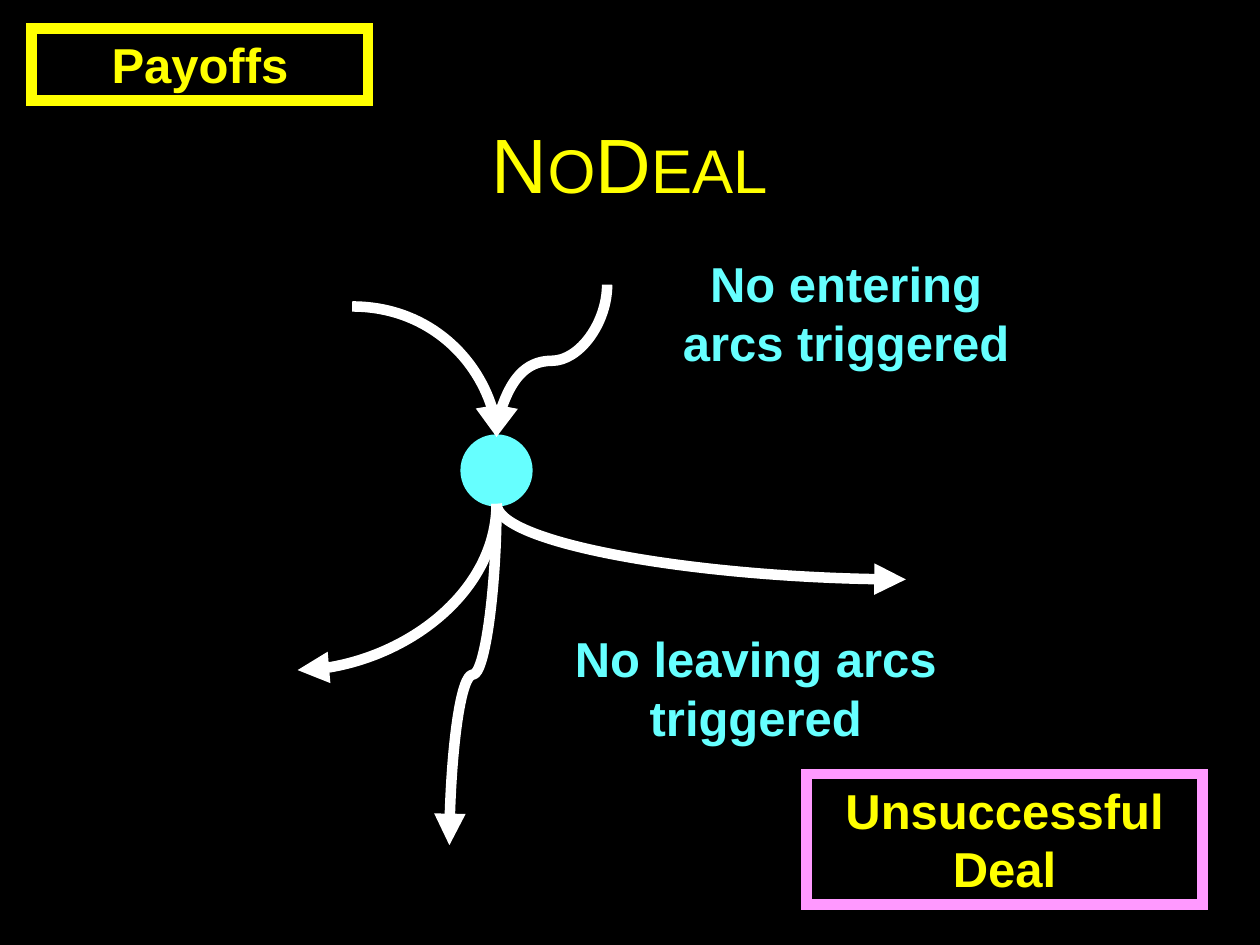
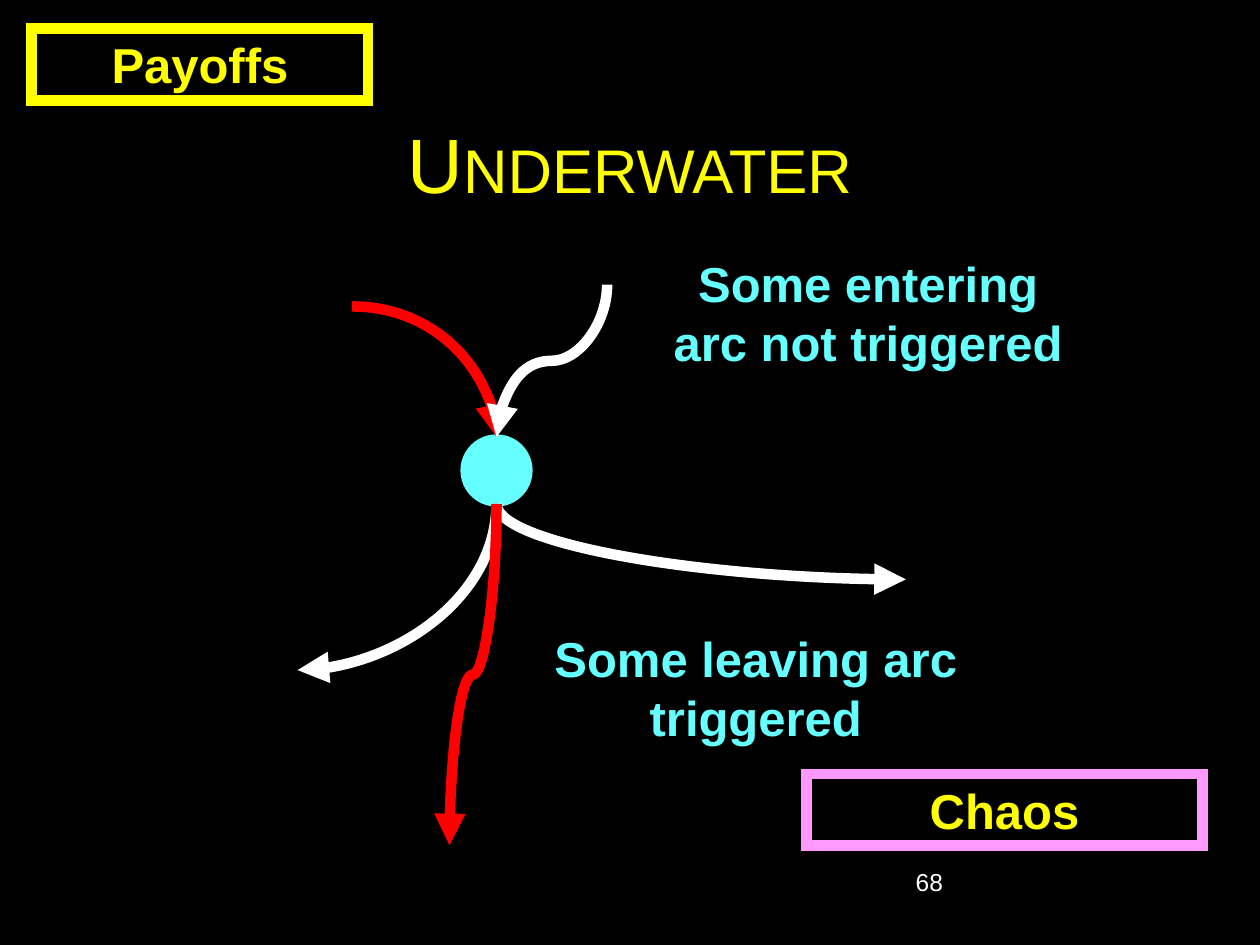
from pptx import Presentation
from pptx.dml.color import RGBColor
from pptx.enum.shapes import MSO_CONNECTOR, MSO_SHAPE
from pptx.enum.text import MSO_ANCHOR, PP_ALIGN
from pptx.oxml.ns import qn
from pptx.util import Cm, Pt
from lxml.etree import SubElement

BLACK, WHITE, RED = "000000", "FFFFFF", "FF0000"
YELLOW, CYAN, PINK = "FFFF00", "66FFFF", "FF99FF"

# Lengths are in centimetres
NODE_X, NODE_TOP, NODE_SIZE = 10.01, 8.81, 1.35
ENTRY = (NODE_X, NODE_TOP)
EXIT = (NODE_X, NODE_TOP + NODE_SIZE)
LINE_HEIGHT, BOX_PADDING = 1.19, 0.26

# name: (start, end, preset, rotation, flip across, flip down); heads are at the start
ARCS = {
    "leave right": ((18.26, 11.68), EXIT, "curvedConnector2", 180, False, False),
    "leave left": ((6, 13.51), EXIT, "curvedConnector2", 0, False, True),
    "enter left": (ENTRY, (7.1, 6.18), "curvedConnector2", 270, False, True),
    "leave down": ((9.06, 17.04), EXIT, "curvedConnector3", 90, True, True),
    "enter right": (ENTRY, (12.24, 5.74), "curvedConnector3", 90, True, True),
}


def color(hex_string):
    return RGBColor.from_string(hex_string)


class Deck:
    font = "Arial"

    def __init__(self):
        self.prs = Presentation()
        self.prs.slide_width, self.prs.slide_height = Cm(25.4), Cm(19.05)
        self.s = None

    def new_slide(self):
        self.s = self.prs.slides.add_slide(self.prs.slide_layouts[6])
        fill = self.s.background.fill
        fill.solid()
        fill.fore_color.rgb = color(BLACK)

    def add_run(self, sp, text, size, text_color, bold=False,
                align=PP_ALIGN.CENTER, anchor=MSO_ANCHOR.TOP):
        tf = sp.text_frame
        tf.word_wrap = True
        tf.vertical_anchor = anchor
        p = tf.paragraphs[0]
        p.alignment = align
        r = p.add_run()
        r.text = text
        r.font.name, r.font.size, r.font.bold = self.font, Pt(size), bold
        r.font.color.rgb = color(text_color)
        return r

    def text(self, x, y, w, h, *args, **style):
        sp = self.s.shapes.add_textbox(Cm(x), Cm(y), Cm(w), Cm(h))
        return self.add_run(sp, *args, **style)

    def title(self, text):
        r = self.text(1.9, 1.7, 21.59, 3.18, text, 44, YELLOW, anchor=MSO_ANCHOR.MIDDLE)
        r.font._element.set("cap", "small")

    def shape(self, kind, x, y, w, h, fill, line=None, width=6):
        sp = self.s.shapes.add_shape(kind, Cm(x), Cm(y), Cm(w), Cm(h))
        sp.shadow.inherit = False
        sp.fill.solid()
        sp.fill.fore_color.rgb = color(fill)
        if line:
            sp.line.color.rgb = color(line)
            sp.line.width = Pt(width)
            SubElement(sp.line._get_or_add_ln(), qn("a:miter"), lim="800000")
        else:
            sp.line.fill.background()
        return sp

    def box(self, x, y, w, lines, text, text_color, border=None):
        """Black box sized to hold the given number of text lines."""
        h = lines * LINE_HEIGHT + BOX_PADDING
        sp = self.shape(MSO_SHAPE.RECTANGLE, x, y, w, h, BLACK, border)
        self.add_run(sp, text, 28, text_color, bold=True)

    def node(self):
        self.shape(MSO_SHAPE.OVAL, NODE_X - NODE_SIZE / 2, NODE_TOP,
                   NODE_SIZE, NODE_SIZE, CYAN, CYAN, 3)

    def arc(self, start, end, preset, rotation, flip_h, flip_v, line_color):
        """Curved arrow whose unrotated frame shares its centre with the two ends."""
        (x1, y1), (x2, y2) = start, end
        w, h = abs(x2 - x1), abs(y2 - y1)
        if rotation in (90, 270):
            w, h = h, w
        x, y = (x1 + x2 - w) / 2, (y1 + y2 - h) / 2
        c = self.s.shapes.add_connector(MSO_CONNECTOR.CURVE, Cm(x), Cm(y),
                                        Cm(x + w), Cm(y + h))
        c.line.color.rgb = color(line_color)
        c.line.width = Pt(6)
        SubElement(c.line._get_or_add_ln(), qn("a:headEnd"), type="triangle")
        sp_pr = c._element.spPr
        SubElement(sp_pr, qn("a:effectLst"))
        sp_pr.find(qn("a:prstGeom")).set("prst", preset)
        xfrm = sp_pr.find(qn("a:xfrm"))
        xfrm.set("rot", str(rotation * 60000))
        xfrm.set("flipH", str(int(flip_h)))
        xfrm.set("flipV", str(int(flip_v)))

    def payoff_slide(self, title, entering, leaving, outcome, triggered=(),
                     entering_width=8.15, outcome_lines=1, number=None):
        self.new_slide()
        self.title(title)
        if number:
            self.text(18.21, 17.35, 5.28, 1.27, number, 14, WHITE, align=PP_ALIGN.LEFT)
        self.node()
        for name, arc in ARCS.items():
            self.arc(*arc, RED if name in triggered else WHITE)
        self.box(0.64, 0.58, 6.78, 1, "Payoffs", YELLOW, YELLOW)
        self.box(12.98, 4.98, entering_width, 2, entering, CYAN)
        self.box(10.69, 12.55, 9.09, 2, leaving, CYAN)
        self.box(16.26, 15.6, 7.98, outcome_lines, outcome, YELLOW, PINK)


def main():
    deck = Deck()
    deck.payoff_slide("NoDeal", "No entering arcs triggered", "No leaving arcs triggered",
                      "Unsuccessful Deal", outcome_lines=2)
    deck.payoff_slide("Underwater", "Some entering arc not triggered",
                      "Some leaving arc triggered", "Chaos",
                      triggered=("enter left", "leave down"),
                      entering_width=9.04, number="68")
    deck.prs.save("out.pptx")


if __name__ == "__main__":
    main()
